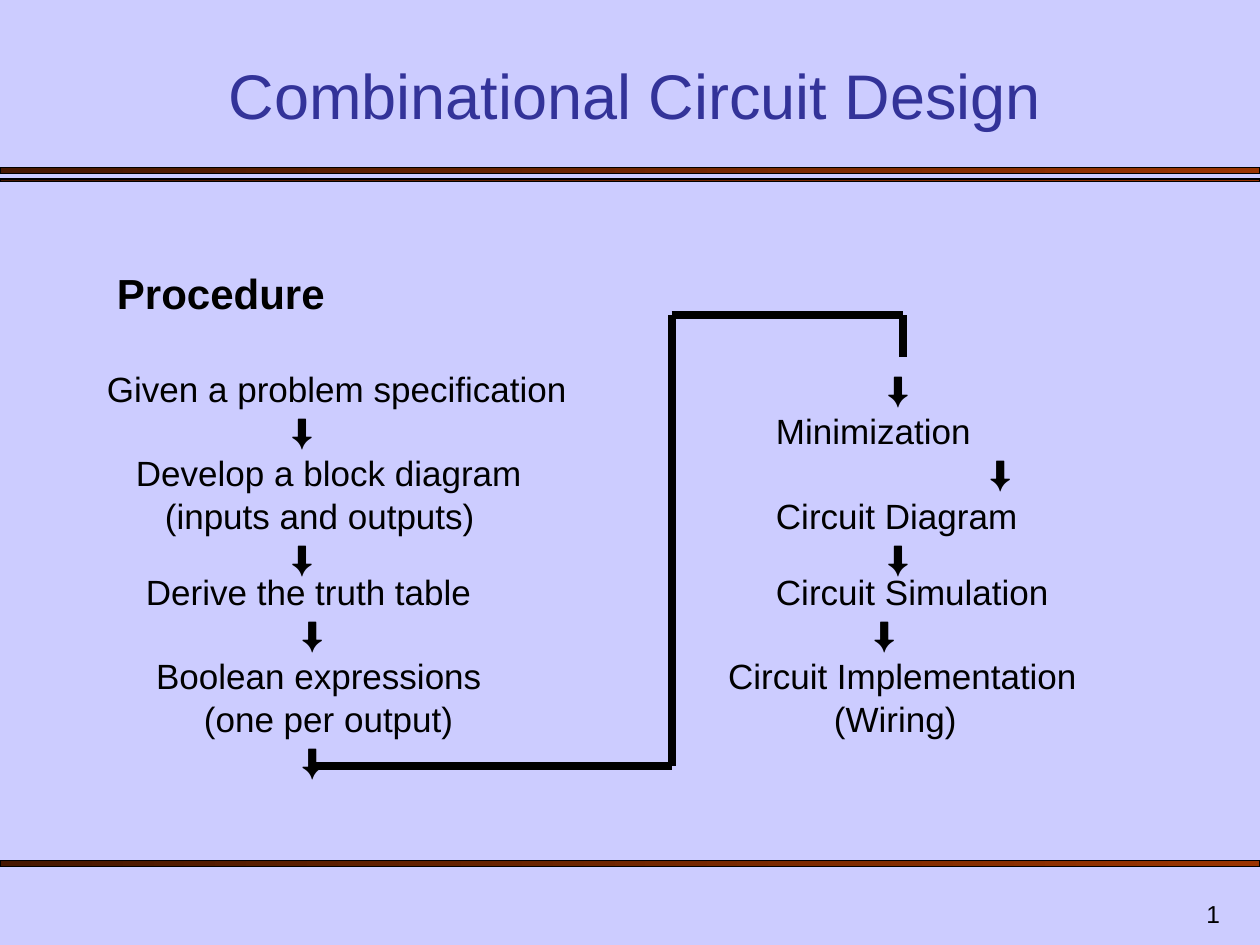
from dataclasses import dataclass

from lxml import etree
from pptx import Presentation
from pptx.dml.color import RGBColor
from pptx.enum.shapes import MSO_CONNECTOR, MSO_SHAPE
from pptx.enum.text import MSO_ANCHOR, PP_ALIGN
from pptx.oxml.ns import qn
from pptx.util import Inches, Pt

LINE = MSO_CONNECTOR.STRAIGHT
RECT = MSO_SHAPE.RECTANGLE
TOP, BOTTOM = MSO_ANCHOR.TOP, MSO_ANCHOR.BOTTOM
LEFT, CENTER, RIGHT = PP_ALIGN.LEFT, PP_ALIGN.CENTER, PP_ALIGN.RIGHT
ARROW = "⬇"


@dataclass(frozen=True)
class Theme:
    font: str = "Arial"
    back: RGBColor = RGBColor(0xCC, 0xCC, 0xFF)
    title: RGBColor = RGBColor(0x33, 0x33, 0x99)
    ink: RGBColor = RGBColor(0, 0, 0)
    rust: RGBColor = RGBColor(0x99, 0x33, 0x00)
    dark: RGBColor = RGBColor(0x46, 0x17, 0x00)
    title_size: int = 36
    head_size: int = 24
    step_size: int = 20
    page_size: int = 14


@dataclass(frozen=True)
class Item:
    text: str
    x: float  # left edge of a label, middle of an arrow


@dataclass(frozen=True)
class Row:
    items: tuple[Item, ...]
    before: float = 5


THEME = Theme()
BODY_X, INSET = 0.25, 0.1

# Left column first, right column second
ROWS = (
    Row((Item("Given a problem specification", 0.85), Item(ARROW, 7.13)), 33),
    Row((Item(ARROW, 2.4), Item("Minimization", 6.16))),
    Row((Item("Develop a block diagram", 1.08), Item(ARROW, 7.94))),
    Row((Item("(inputs and outputs)", 1.31), Item("Circuit Diagram", 6.16))),
    Row((Item(ARROW, 2.4), Item(ARROW, 7.13))),
    Row((Item("Derive the truth table", 1.16), Item("Circuit Simulation", 6.16)), 0),
    Row((Item(ARROW, 2.48), Item(ARROW, 7.02))),
    Row((Item("Boolean expressions", 1.24), Item("Circuit Implementation", 5.78))),
    Row((Item("(one per output)", 1.62), Item("(Wiring)", 6.62))),
    Row((Item(ARROW, 2.48),)),
)
BARS = ((1.33, 0.05), (1.42, 0.02), (6.83, 0.05))
ROUTE = ((2.5, 6.08), (5.33, 6.08), (5.33, 2.5), (7.17, 2.5), (7.17, 2.83))


def add_bar(slide, top: float, height: float) -> None:
    bar = slide.shapes.add_shape(RECT, 0, Inches(top), Inches(10), Inches(height))
    bar.shadow.inherit = False
    bar.fill.gradient()
    bar.fill.gradient_angle = 180
    for stop, color in zip(bar.fill.gradient_stops, (THEME.rust, THEME.dark)):
        stop.color.rgb = color
    bar.line.color.rgb = THEME.ink
    bar.line.width = Pt(0.75)


def add_frame(slide, x: float, y: float, w: float, h: float, anchor):
    box = slide.shapes.add_textbox(Inches(x), Inches(y), Inches(w), Inches(h))
    frame = box.text_frame
    frame.word_wrap = True
    frame.vertical_anchor = anchor
    return frame


def add_run(para, text: str, size: int, color: RGBColor, bold: bool = False) -> None:
    run = para.add_run()
    run.text = text
    font = run.font
    font.name, font.size, font.bold = THEME.font, Pt(size), bold
    font.color.rgb = color


def add_label(slide, text: str, place: tuple, align, size: int, color: RGBColor) -> None:
    para = add_frame(slide, *place, BOTTOM).paragraphs[0]
    para.alignment = align
    add_run(para, text, size, color)


def fill_row(para, row: Row, size: int, bold: bool = False) -> None:
    """Write each item after a tab stop that sets its place."""
    stops = etree.SubElement(para._p.get_or_add_pPr(), qn("a:tabLst"))
    for item in row.items:
        stop = etree.SubElement(stops, qn("a:tab"))
        stop.set("pos", str(Inches(item.x - BODY_X - INSET)))
        stop.set("algn", "ctr" if item.text == ARROW else "l")
    para.alignment = LEFT
    para.line_spacing = 0.8
    para.space_before = Pt(row.before)
    for item in row.items:
        add_run(para, "\t" + item.text, size, THEME.ink, bold)


def add_line(slide, start: tuple, end: tuple) -> None:
    line = slide.shapes.add_connector(LINE, *map(Inches, start + end))
    line.line.color.rgb = THEME.ink
    line.line.width = Pt(4.5)
    etree.SubElement(line._element.spPr, qn("a:effectLst"))


def main() -> None:
    deck = Presentation()
    deck.slide_width, deck.slide_height = Inches(10), Inches(7.5)
    slide = deck.slides.add_slide(deck.slide_layouts[6])
    slide.background.fill.solid()
    slide.background.fill.fore_color.rgb = THEME.back

    # Rules and title
    for bar in BARS:
        add_bar(slide, *bar)
    add_label(slide, "Combinational Circuit Design", (0.58, 0.42, 8.92, 0.68),
              CENTER, THEME.title_size, THEME.title)

    # Procedure steps
    body = add_frame(slide, BODY_X, 1.67, 9.25, 4.92, TOP)
    body.margin_top = Inches(0.53)
    head = Row((Item("Procedure", 0.93),), 0)
    fill_row(body.paragraphs[0], head, THEME.head_size, bold=True)
    for row in ROWS:
        fill_row(body.add_paragraph(), row, THEME.step_size)

    # Path from the left column to the right one
    for start, end in zip(ROUTE, ROUTE[1:]):
        add_line(slide, start, end)

    # Page number
    add_label(slide, "1", (7.7, 7, 2.08, 0.42), RIGHT, THEME.page_size, THEME.ink)
    deck.save("out.pptx")


if __name__ == "__main__":
    main()
